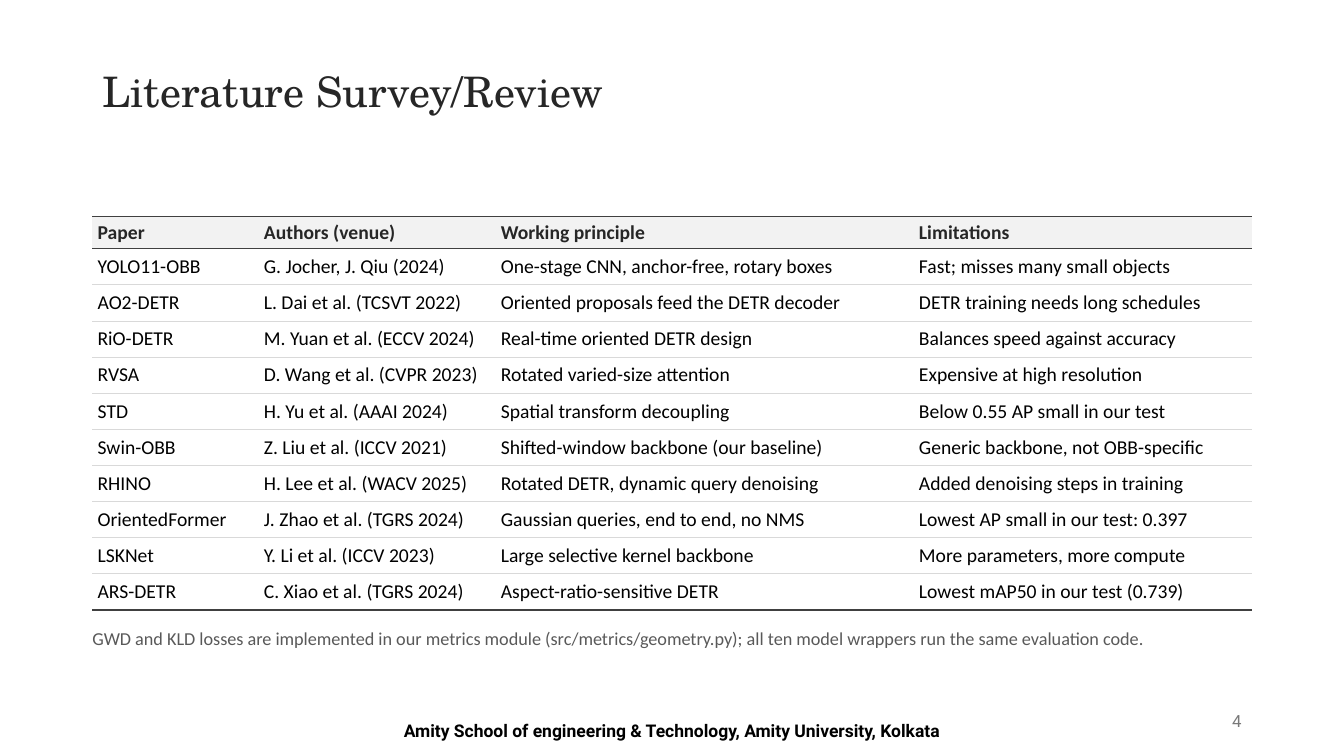
from dataclasses import dataclass

from lxml.etree import SubElement
from pptx import Presentation
from pptx.dml.color import RGBColor
from pptx.enum.text import MSO_ANCHOR as Anchor, MSO_AUTO_SIZE as AutoSize, PP_ALIGN as Align
from pptx.oxml.ns import qn
from pptx.slide import Slide
from pptx.table import Table, _Cell as Cell
from pptx.text.text import TextFrame
from pptx.util import Cm, Pt


@dataclass(frozen=True)
class TextStyle:
    font: str
    size: float
    color: str
    bold: bool = False
    align: Align = Align.LEFT


@dataclass(frozen=True)
class Box:
    left: float
    top: float
    width: float
    height: float


@dataclass(frozen=True)
class Label:
    text: str
    box: Box
    style: TextStyle
    anchor: Anchor = Anchor.TOP
    inset: bool = True


@dataclass(frozen=True)
class Rule:
    color: str
    width: float


@dataclass(frozen=True)
class Paper:
    name: str
    authors: str
    principle: str
    limitation: str


LEFT, WIDTH = 2.33, 29.21
TITLE_BOX = Box(LEFT, 1.02, WIDTH, 2.67)
TITLE_STYLE = TextStyle("TeX Gyre Schola", 30, "262626")
HEADER_STYLE = TextStyle("Calibri", 14, "262626", bold=True)
BODY_STYLE = TextStyle("Calibri", 14, "000000")

TABLE_TOP = 5.46
COLUMN_WIDTHS = (4.19, 5.97, 10.54, 8.51)
HEADER_HEIGHT, ROW_HEIGHT = 0.81, 0.91
STRONG_RULE, LIGHT_RULE = Rule("404040", 1), Rule("D9D9D9", 0.75)

HEADER = Paper("Paper", "Authors (venue)", "Working principle", "Limitations")
PAPERS = [
    Paper("YOLO11-OBB", "G. Jocher, J. Qiu (2024)",
          "One-stage CNN, anchor-free, rotary boxes", "Fast; misses many small objects"),
    Paper("AO2-DETR", "L. Dai et al. (TCSVT 2022)",
          "Oriented proposals feed the DETR decoder", "DETR training needs long schedules"),
    Paper("RiO-DETR", "M. Yuan et al. (ECCV 2024)",
          "Real-time oriented DETR design", "Balances speed against accuracy"),
    Paper("RVSA", "D. Wang et al. (CVPR 2023)",
          "Rotated varied-size attention", "Expensive at high resolution"),
    Paper("STD", "H. Yu et al. (AAAI 2024)",
          "Spatial transform decoupling", "Below 0.55 AP small in our test"),
    Paper("Swin-OBB", "Z. Liu et al. (ICCV 2021)",
          "Shifted-window backbone (our baseline)", "Generic backbone, not OBB-specific"),
    Paper("RHINO", "H. Lee et al. (WACV 2025)",
          "Rotated DETR, dynamic query denoising", "Added denoising steps in training"),
    Paper("OrientedFormer", "J. Zhao et al. (TGRS 2024)",
          "Gaussian queries, end to end, no NMS", "Lowest AP small in our test: 0.397"),
    Paper("LSKNet", "Y. Li et al. (ICCV 2023)",
          "Large selective kernel backbone", "More parameters, more compute"),
    Paper("ARS-DETR", "C. Xiao et al. (TGRS 2024)",
          "Aspect-ratio-sensitive DETR", "Lowest mAP50 in our test (0.739)"),
]

LABELS = [
    Label("4", Box(23.92, 17.65, 7.62, 1.02),
          TextStyle("Roboto", 12, "797979", align=Align.RIGHT), Anchor.MIDDLE),
    Label("Amity School of engineering & Technology, Amity University, Kolkata",
          Box(5.5, 18.01, 22.86, 1.02),
          TextStyle("Roboto", 12.5, "000000", bold=True, align=Align.CENTER)),
    Label("GWD and KLD losses are implemented in our metrics module (src/metrics/geometry.py); "
          "all ten model wrappers run the same evaluation code.",
          Box(LEFT, 15.8, WIDTH, 1.4), TextStyle("Calibri", 13, "595959"), inset=False),
]


def rgb(color: str) -> RGBColor:
    return RGBColor.from_string(color)


def write(frame: TextFrame, text: str, style: TextStyle) -> None:
    frame.text = text
    paragraph = frame.paragraphs[0]
    paragraph.alignment = style.align
    font = paragraph.runs[0].font
    font.name, font.size, font.bold = style.font, Pt(style.size), style.bold
    font.color.rgb = rgb(style.color)


def add_title(slide: Slide, text: str) -> None:
    title = slide.shapes.title
    title.left, title.top = Cm(TITLE_BOX.left), Cm(TITLE_BOX.top)
    title.width, title.height = Cm(TITLE_BOX.width), Cm(TITLE_BOX.height)
    frame = title.text_frame
    write(frame, text, TITLE_STYLE)
    frame.vertical_anchor = Anchor.MIDDLE
    frame.auto_size = AutoSize.NONE
    frame.paragraphs[0].line_spacing = 0.9


def add_label(slide: Slide, label: Label) -> None:
    box = label.box
    shape = slide.shapes.add_textbox(Cm(box.left), Cm(box.top), Cm(box.width), Cm(box.height))
    frame = shape.text_frame
    frame.word_wrap = True
    frame.vertical_anchor = label.anchor
    if not label.inset:
        frame.margin_left = frame.margin_right = frame.margin_top = frame.margin_bottom = 0
    write(frame, label.text, label.style)


def set_borders(cell: Cell, top: Rule, bottom: Rule) -> None:
    properties = cell._tc.get_or_add_tcPr()
    for side, rule in (("L", None), ("R", None), ("T", top), ("B", bottom)):
        line = SubElement(properties, qn(f"a:ln{side}"))
        if rule is None:
            SubElement(line, qn("a:noFill"))
        else:
            line.set("w", str(Pt(rule.width)))
            fill = SubElement(line, qn("a:solidFill"))
            SubElement(fill, qn("a:srgbClr")).set("val", rule.color)


def fill_row(table: Table, index: int, paper: Paper) -> None:
    is_header, is_last = index == 0, index == len(PAPERS)
    table.rows[index].height = Cm(HEADER_HEIGHT if is_header else ROW_HEIGHT)
    top = STRONG_RULE if index <= 1 else LIGHT_RULE
    bottom = STRONG_RULE if is_header or is_last else LIGHT_RULE
    texts = (paper.name, paper.authors, paper.principle, paper.limitation)
    for cell, text in zip(table.rows[index].cells, texts):
        write(cell.text_frame, text, HEADER_STYLE if is_header else BODY_STYLE)
        cell.vertical_anchor = Anchor.MIDDLE
        cell.margin_left = cell.margin_right = Cm(0.13)
        cell.margin_top = cell.margin_bottom = Cm(0.03)
        set_borders(cell, top, bottom)
        cell.fill.solid()
        cell.fill.fore_color.rgb = rgb("F2F2F2" if is_header else "FFFFFF")


def add_survey_table(slide: Slide) -> None:
    rows = [HEADER, *PAPERS]
    height = HEADER_HEIGHT + ROW_HEIGHT * len(PAPERS)
    table = slide.shapes.add_table(len(rows), len(COLUMN_WIDTHS), Cm(LEFT), Cm(TABLE_TOP),
                                   Cm(WIDTH), Cm(height)).table
    table.horz_banding = False
    for column, width in zip(table.columns, COLUMN_WIDTHS):
        column.width = Cm(width)
    for index, paper in enumerate(rows):
        fill_row(table, index, paper)


def main() -> None:
    presentation = Presentation()
    presentation.slide_width, presentation.slide_height = Cm(33.87), Cm(19.05)
    slide = presentation.slides.add_slide(presentation.slide_layouts[5])

    # Title and survey table
    add_title(slide, "Literature Survey/Review")
    add_survey_table(slide)

    # Page number, footer and table note
    for label in LABELS:
        add_label(slide, label)

    presentation.save("out.pptx")


if __name__ == "__main__":
    main()
